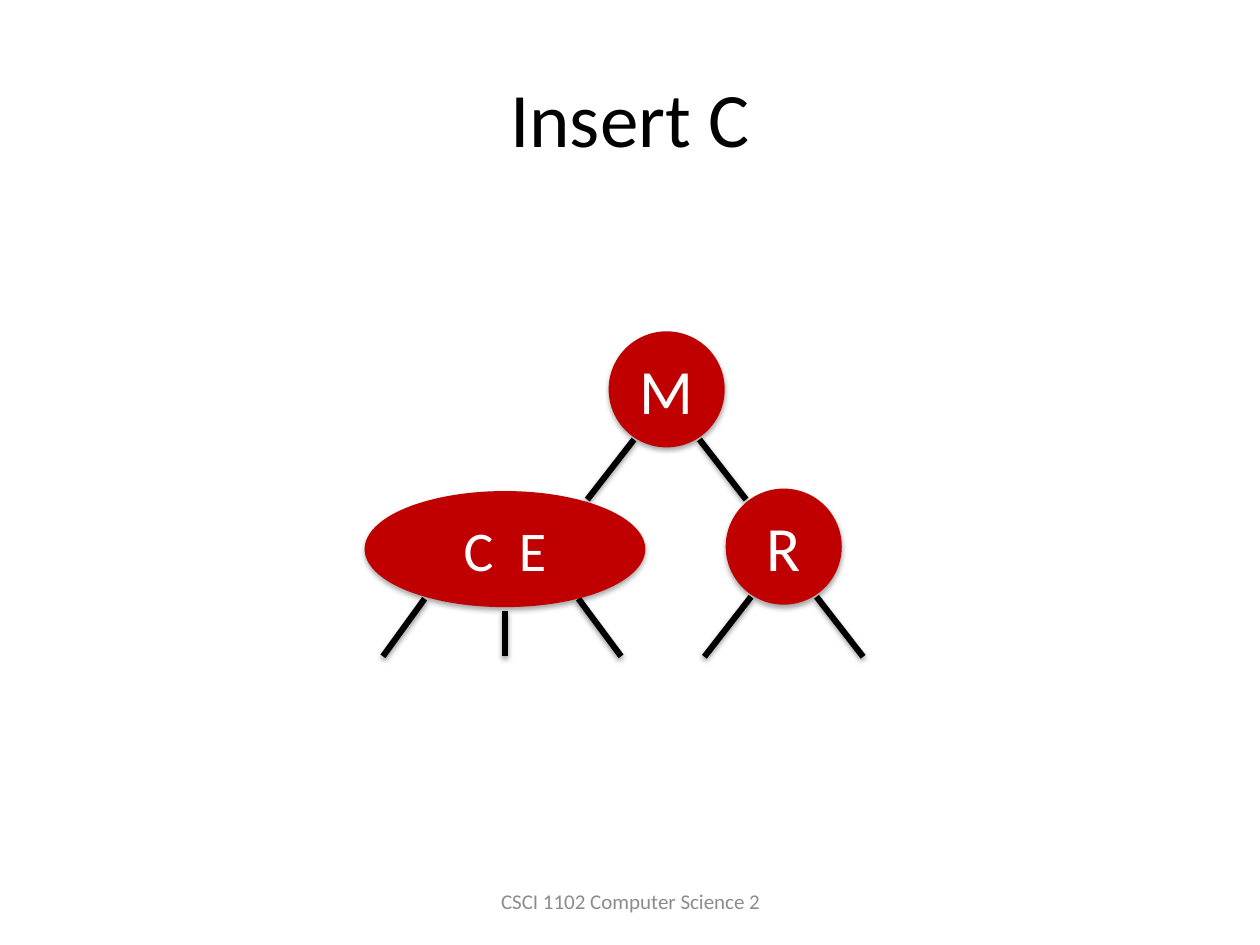
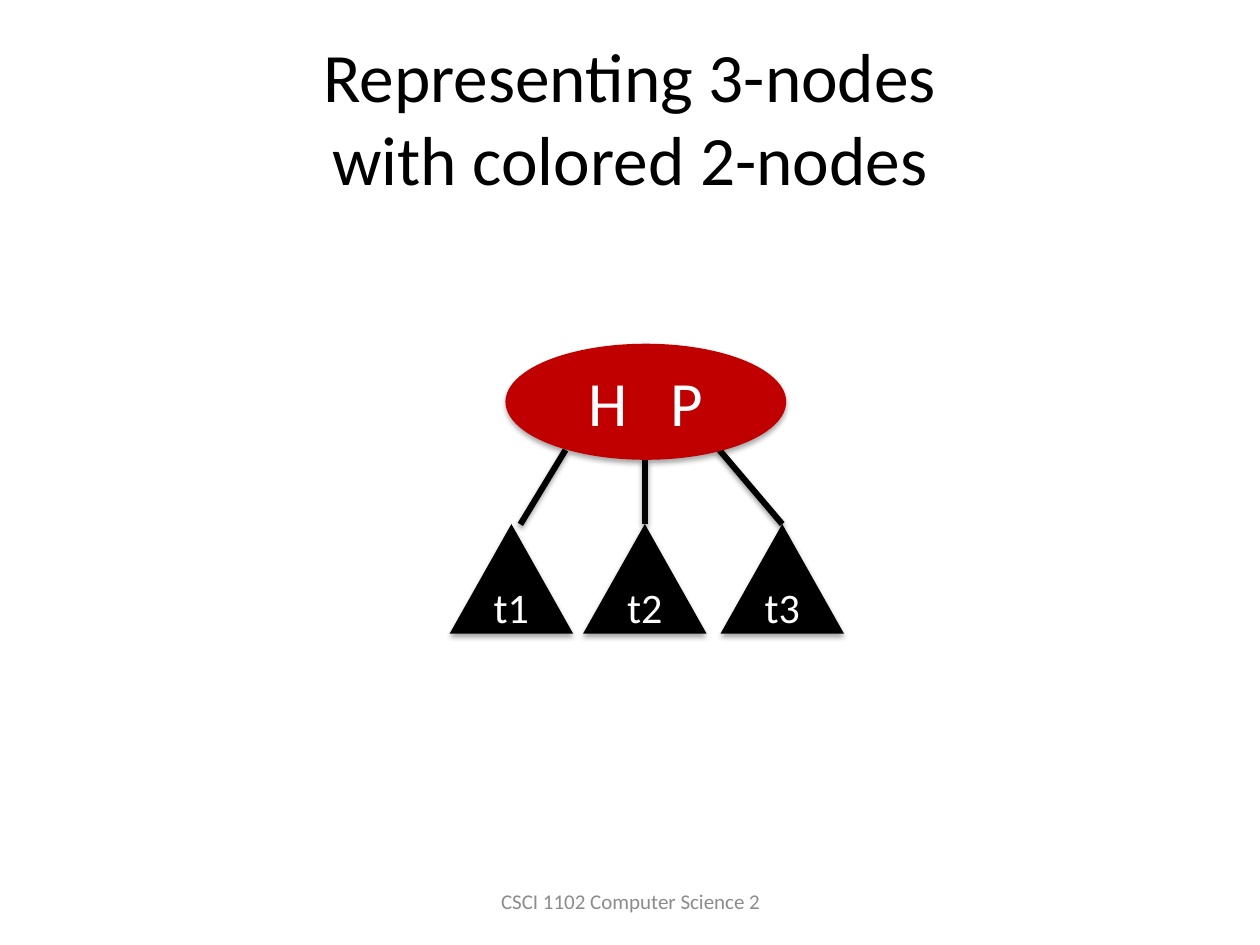
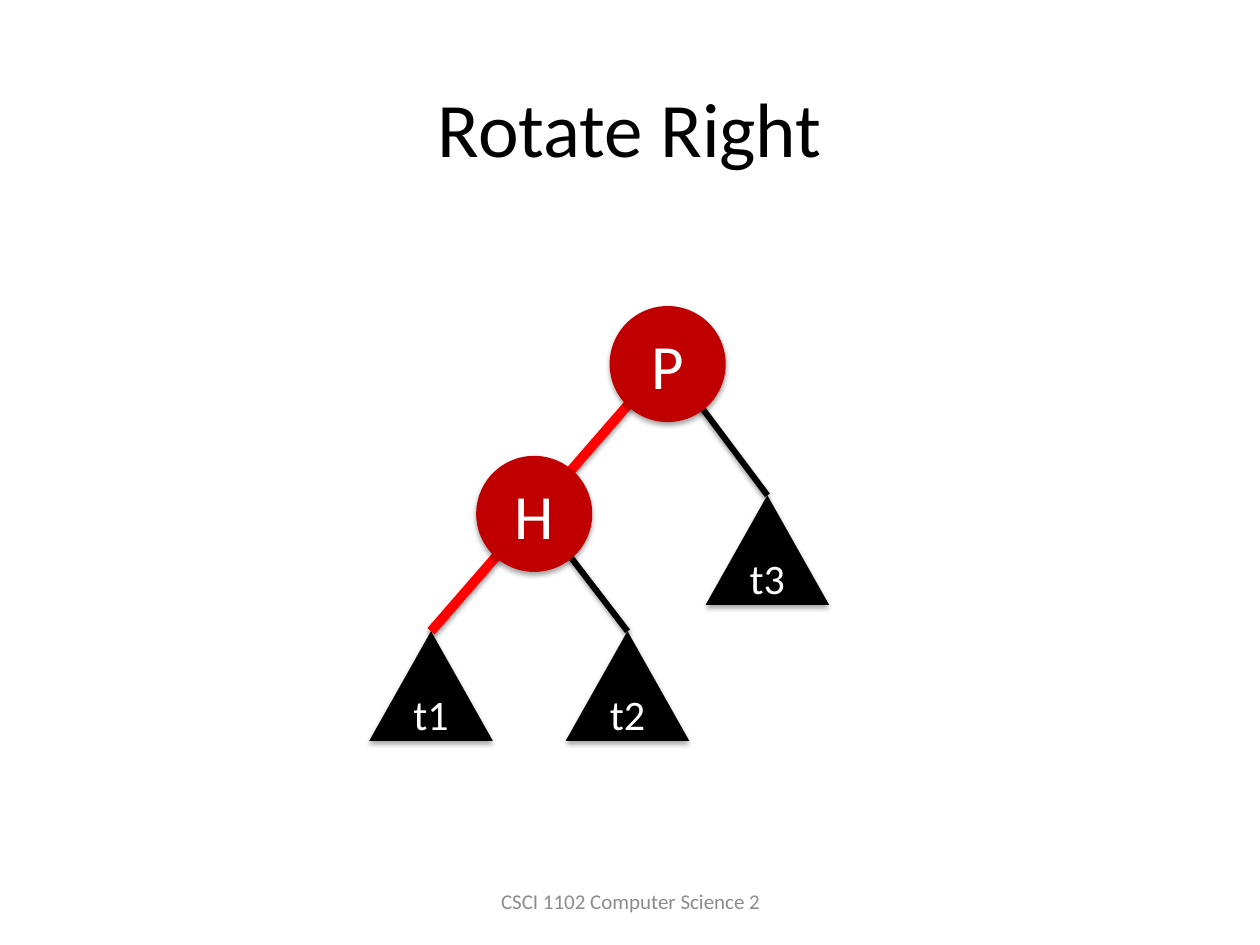
"""Build three slides on inserting into 2-3 trees and representing 3-nodes."""
from dataclasses import dataclass

from pptx import Presentation
from pptx.dml.color import RGBColor
from pptx.enum.shapes import MSO_CONNECTOR, MSO_SHAPE
from pptx.enum.text import MSO_ANCHOR, PP_ALIGN
from pptx.oxml import parse_xml
from pptx.oxml.ns import nsdecls
from pptx.util import Cm, Pt


@dataclass(frozen=True)
class Theme:
    font: str = "Calibri"
    ink: str = "000000"
    paper: str = "FFFFFF"
    node: str = "C00000"
    highlight: str = "FF0000"
    muted: str = "8C8C8C"
    footer_size: float = 12
    edge_width: float = 3.5
    highlight_width: float = 5.5


THEME = Theme()
FOOTER = "CSCI 1102 Computer Science 2"
TITLE_BOX = (1.27, 22.86, 3.18)
FOOTER_BOX = (8.69, 17.65, 8.05, 1.02)

KINDS = {
    "two_node": (MSO_SHAPE.OVAL, 2.34, 2.34, THEME.node),
    "three_node": (MSO_SHAPE.OVAL, 5.66, 2.34, THEME.node),
    "subtree": (MSO_SHAPE.ISOSCELES_TRIANGLE, 2.49, 2.21, THEME.ink),
}


def child_edges(x, y):
    """Return the left and right edges below a 2-node centred at x, y."""
    return [((x + side * 0.66, y + 1.01), (x + side * 1.6, y + 2.22), False) for side in (-1, 1)]


SLIDES = [
    {
        "title": ["Insert C"], "title_size": 44, "title_top": 0.76,
        "nodes": [
            ("three_node", "CE", 32, 7.2, 10.18, 11.07),
            ("two_node", "M", 36, 0, 13.44, 7.85),
            ("two_node", "R", 36, 0, 15.8, 11.02),
        ],
        "edges": [
            ((8.56, 12.07), (7.72, 13.23), False),
            ((11.66, 12.07), (12.52, 13.23), False),
            ((10.18, 12.32), (10.18, 13.23), False),
            *child_edges(13.44, 7.85),
            *child_edges(15.8, 11.02),
        ],
    },
    {
        "title": ["Representing 3-nodes", "with colored 2-nodes"], "title_size": 39.6, "title_top": 0.76,
        "nodes": [
            ("three_node", "HP", 36, 16.3, 13.02, 8.1),
            ("subtree", "t1", 24, 0, 10.31, 11.67),
            ("subtree", "t2", 24, 0, 13.0, 11.67),
            ("subtree", "t3", 24, 0, 15.77, 11.67),
        ],
        "edges": [
            ((11.4, 9.07), (10.49, 10.57), False),
            ((14.5, 9.07), "t3", False),
            ((13.0, 9.27), "t2", False),
        ],
    },
    {
        "title": ["Rotate Right"], "title_size": 44, "title_top": 0.97,
        "nodes": [
            ("two_node", "P", 36, 0, 13.46, 7.34),
            ("two_node", "H", 36, 0, 10.77, 10.36),
            ("subtree", "t3", 24, 0, 15.47, 11.09),
            ("subtree", "t2", 24, 0, 12.65, 13.83),
            ("subtree", "t1", 24, 0, 8.69, 13.83),
        ],
        "edges": [
            ((10.82, 10.34), "t2", False),
            ((13.49, 7.34), "t3", False),
            ((13.46, 7.24), "t1", True),
        ],
    },
]


def add_run(paragraph, text, size, color):
    """Add a formatted run to a centred paragraph."""
    paragraph.alignment = PP_ALIGN.CENTER
    run = paragraph.add_run()
    run.text = text
    run.font.name = THEME.font
    run.font.size = Pt(size)
    run.font.color.rgb = RGBColor.from_string(color)
    return run


def add_shadow(shape, distance, opacity):
    """Cast a soft shadow straight down."""
    shape._element.spPr.append(parse_xml(
        f'<a:effectLst {nsdecls("a")}>'
        f'<a:outerShdw blurRad="{Pt(3.1)}" dist="{Pt(distance)}" dir="5400000" rotWithShape="0">'
        f'<a:srgbClr val="{THEME.ink}"><a:alpha val="{opacity * 1000}"/></a:srgbClr>'
        '</a:outerShdw></a:effectLst>'))


def add_title(slide, lines, size, top):
    """Place and fill the title placeholder."""
    title = slide.shapes.title
    left, width, height = TITLE_BOX
    title.left, title.top, title.width, title.height = Cm(left), Cm(top), Cm(width), Cm(height)
    title.text_frame.vertical_anchor = MSO_ANCHOR.MIDDLE
    paragraph = title.text_frame.paragraphs[0]
    for index, line in enumerate(lines):
        if index:
            paragraph.add_line_break()
        add_run(paragraph, line, size, THEME.ink)


def add_footer(slide):
    """Add the course name at the foot of the slide."""
    footer = slide.shapes.add_textbox(*map(Cm, FOOTER_BOX))
    footer.text_frame.word_wrap = True
    footer.text_frame.vertical_anchor = MSO_ANCHOR.MIDDLE
    add_run(footer.text_frame.paragraphs[0], FOOTER, THEME.footer_size, THEME.muted)


def add_edge(slide, start, end, highlighted):
    """Draw a tree edge between two points."""
    edge = slide.shapes.add_connector(MSO_CONNECTOR.STRAIGHT, *map(Cm, (*start, *end)))
    edge.line.color.rgb = RGBColor.from_string(THEME.highlight if highlighted else THEME.ink)
    edge.line.width = Pt(THEME.highlight_width if highlighted else THEME.edge_width)
    add_shadow(edge, 1.6, 38)
    return edge


def add_node(slide, kind, label, size, key_gap, x, y):
    """Draw a node centred at x, y, with its keys set apart by key_gap points."""
    preset, width, height, color = KINDS[kind]
    node = slide.shapes.add_shape(preset, Cm(x - width / 2), Cm(y - height / 2), Cm(width), Cm(height))
    node.fill.solid()
    node.fill.fore_color.rgb = RGBColor.from_string(color)
    node.line.fill.background()
    add_shadow(node, 1.8, 35)
    node.text_frame.vertical_anchor = MSO_ANCHOR.MIDDLE
    paragraph = node.text_frame.paragraphs[0]
    if kind == "three_node":
        first, second = label
        add_run(paragraph, first, size, THEME.paper)
        space = add_run(paragraph, " ", size, THEME.paper)
        space.font._element.set("spc", str(round(key_gap * 100)))
        add_run(paragraph, second, size, THEME.paper)
    else:
        add_run(paragraph, label, size, THEME.paper)
    return node


def add_tree(slide, nodes, edges):
    """Draw the edges behind the nodes and join those that end at a subtree."""
    joins = []
    for start, end, highlighted in edges:
        named = isinstance(end, str)
        edge = add_edge(slide, start, start if named else end, highlighted)
        if named:
            joins.append((edge, end))
    shapes = {node[1]: add_node(slide, *node) for node in nodes}
    for edge, label in joins:
        edge.end_connect(shapes[label], 0)


def main():
    """Build and save the presentation."""
    presentation = Presentation()
    presentation.slide_width, presentation.slide_height = Cm(25.4), Cm(19.05)
    for content in SLIDES:
        slide = presentation.slides.add_slide(presentation.slide_layouts[5])
        add_title(slide, content["title"], content["title_size"], content["title_top"])
        add_footer(slide)
        add_tree(slide, content["nodes"], content["edges"])
    presentation.save("out.pptx")


if __name__ == "__main__":
    main()
